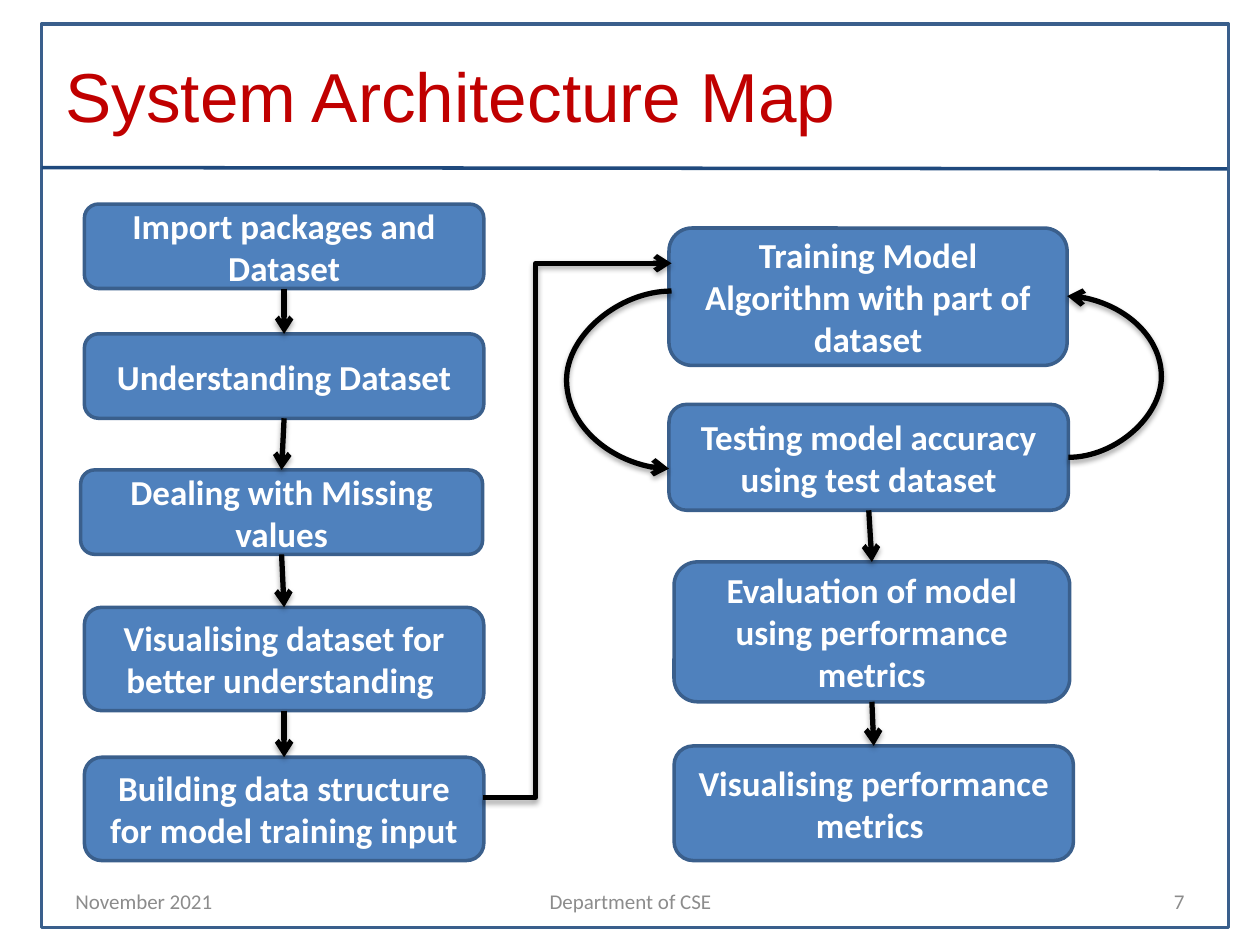
"""Build the System Architecture Map slide."""
from dataclasses import dataclass
from itertools import pairwise
from typing import NamedTuple

from lxml.etree import SubElement
from pptx import Presentation
from pptx.dml.color import RGBColor
from pptx.enum.shapes import MSO_CONNECTOR, MSO_SHAPE
from pptx.enum.text import MSO_ANCHOR, PP_ALIGN
from pptx.oxml.ns import qn
from pptx.shapes.autoshape import Shape
from pptx.shapes.connector import Connector
from pptx.slide import Slide
from pptx.util import Inches, Pt


@dataclass(frozen=True)
class Theme:
    """Colours, fonts and sizes of the slide."""

    title: RGBColor = RGBColor(0xC0, 0x00, 0x00)
    box: RGBColor = RGBColor(0x4F, 0x81, 0xBD)
    outline: RGBColor = RGBColor(0x3A, 0x5F, 0x8C)
    divider: RGBColor = RGBColor(0x1F, 0x49, 0x7D)
    arrow: RGBColor = RGBColor(0x00, 0x00, 0x00)
    box_text: RGBColor = RGBColor(0xFF, 0xFF, 0xFF)
    footer: RGBColor = RGBColor(0x8C, 0x8C, 0x8C)
    title_font: str = "Arial"
    body_font: str = "Calibri"
    title_size: float = 39.6
    box_size: float = 20
    footer_size: float = 12
    outline_width: float = 2
    arrow_width: float = 3


class Step(NamedTuple):
    """One box of the flow, in inches."""

    text: str
    left: float
    top: float
    width: float
    height: float


class Route(NamedTuple):
    """An arrow that turns at a given x, in inches."""

    kind: MSO_CONNECTOR
    begin: tuple[float, float]
    end: tuple[float, float]
    turn: float


class Footer(NamedTuple):
    """One footer text, in inches."""

    text: str
    left: float
    width: float
    alignment: PP_ALIGN


THEME = Theme()

PREPARATION = [
    Step("Import packages and\nDataset", 0.67, 1.62, 3.17, 0.67),
    Step("Understanding Dataset", 0.67, 2.65, 3.17, 0.67),
    Step("Dealing with Missing values", 0.64, 3.73, 3.19, 0.67),
    Step("Visualising dataset for better understanding ", 0.67, 4.82, 3.17, 0.82),
    Step("Building data structure for model training input", 0.67, 6.01, 3.17, 0.82),
]
TRAINING = Step("Training Model Algorithm with part of dataset", 5.31, 1.81, 3.16, 1.09)
ASSESSMENT = [
    Step("Testing model accuracy using test dataset", 5.31, 3.21, 3.17, 0.84),
    Step("Evaluation of model using performance metrics", 5.35, 4.46, 3.14, 1.11),
    Step("Visualising performance metrics ", 5.35, 5.92, 3.17, 0.91),
]
ROUTES = [
    Route(MSO_CONNECTOR.CURVE, (8.48, 3.63), (8.47, 2.35), 9.23),
    Route(MSO_CONNECTOR.CURVE, (5.33, 2.31), (5.31, 3.72), 4.5),
    Route(MSO_CONNECTOR.ELBOW, (3.83, 6.33), (5.33, 2.09), 4.25),
]
FOOTERS = [
    Footer("November 2021", 0.5, 2.33, PP_ALIGN.LEFT),
    Footer("Department of CSE", 3.42, 3.17, PP_ALIGN.CENTER),
    Footer("7", 7.17, 2.33, PP_ALIGN.RIGHT),
]


def write_text(shape: Shape, text: str, font: str, size: float, color: RGBColor,
               alignment: PP_ALIGN, bold: bool = False) -> None:
    """Fill a shape with evenly formatted, vertically centred text."""
    frame = shape.text_frame
    frame.text = text
    frame.word_wrap = True
    frame.vertical_anchor = MSO_ANCHOR.MIDDLE
    for paragraph in frame.paragraphs:
        paragraph.alignment = alignment
        paragraph.font.name = font
        paragraph.font.size = Pt(size)
        paragraph.font.bold = bold
        paragraph.font.color.rgb = color


def outline(shape: Shape | Connector, color: RGBColor, width: float) -> None:
    """Set the line of a shape or connector."""
    shape.line.color.rgb = color
    shape.line.width = Pt(width)


def draw_frame(slide: Slide) -> None:
    """Draw the page border and the line under the title."""
    border = slide.shapes.add_shape(
        MSO_SHAPE.RECTANGLE, Inches(0.33), Inches(0.19), Inches(9.42), Inches(7.17))
    border.shadow.inherit = False
    border.fill.background()
    outline(border, THEME.outline, THEME.outline_width)
    divider = slide.shapes.add_connector(
        MSO_CONNECTOR.STRAIGHT, Inches(0.33), Inches(1.33), Inches(9.74), Inches(1.34))
    outline(divider, THEME.divider, THEME.outline_width)
    SubElement(divider._element.spPr, qn("a:effectLst"))


def draw_step(slide: Slide, step: Step) -> Shape:
    """Draw one rounded box of the flow."""
    box = slide.shapes.add_shape(
        MSO_SHAPE.ROUNDED_RECTANGLE, Inches(step.left), Inches(step.top),
        Inches(step.width), Inches(step.height))
    box.shadow.inherit = False
    box.fill.solid()
    box.fill.fore_color.rgb = THEME.box
    outline(box, THEME.outline, THEME.outline_width)
    write_text(box, step.text, THEME.body_font, THEME.box_size, THEME.box_text,
               PP_ALIGN.CENTER, bold=True)
    return box


def style_arrow(arrow: Connector) -> None:
    """Give a connector its line, arrowhead and soft shadow."""
    outline(arrow, THEME.arrow, THEME.arrow_width)
    SubElement(arrow.line._get_or_add_ln(), qn("a:tailEnd"), type="arrow")
    effects = SubElement(arrow._element.spPr, qn("a:effectLst"))
    shadow = SubElement(effects, qn("a:outerShdw"), blurRad=str(Pt(3.1)),
                        dist=str(Pt(1.8)), dir="5400000", rotWithShape="0")
    color = SubElement(shadow, qn("a:srgbClr"), val=str(THEME.arrow))
    SubElement(color, qn("a:alpha"), val="35000")


def draw_chain(slide: Slide, steps: list[Step]) -> None:
    """Draw boxes and join each one to the next below it."""
    boxes = [draw_step(slide, step) for step in steps]
    for upper, lower in pairwise(boxes):
        arrow = slide.shapes.add_connector(MSO_CONNECTOR.STRAIGHT, 0, 0, 0, 0)
        arrow.begin_connect(upper, 2)
        arrow.end_connect(lower, 0)
        style_arrow(arrow)


def draw_route(slide: Slide, route: Route) -> None:
    """Draw a curved or bent arrow through its turning line."""
    (begin_x, begin_y), (end_x, end_y) = route.begin, route.end
    arrow = slide.shapes.add_connector(
        route.kind, Inches(begin_x), Inches(begin_y), Inches(end_x), Inches(end_y))
    share = round((route.turn - begin_x) / (end_x - begin_x) * 100000)
    guides = arrow._element.spPr.find(qn("a:prstGeom")).get_or_add_avLst()
    SubElement(guides, qn("a:gd"), name="adj1", fmla=f"val {share}")
    style_arrow(arrow)


def main() -> None:
    """Assemble and save the slide."""
    presentation = Presentation()
    presentation.slide_width, presentation.slide_height = Inches(10), Inches(7.5)
    slide = presentation.slides.add_slide(presentation.slide_layouts[5])
    draw_frame(slide)
    title = slide.shapes.title
    title.left, title.top = Inches(0.42), Inches(0.42)
    title.width, title.height = Inches(9), Inches(0.67)
    write_text(title, "System Architecture Map", THEME.title_font, THEME.title_size,
               THEME.title, PP_ALIGN.LEFT)
    for footer in FOOTERS:
        box = slide.shapes.add_textbox(
            Inches(footer.left), Inches(6.95), Inches(footer.width), Inches(0.4))
        write_text(box, footer.text, THEME.body_font, THEME.footer_size, THEME.footer,
                   footer.alignment)
    draw_chain(slide, PREPARATION)
    draw_step(slide, TRAINING)
    draw_chain(slide, ASSESSMENT)
    for route in ROUTES:
        draw_route(slide, route)
    presentation.save("out.pptx")


if __name__ == "__main__":
    main()
